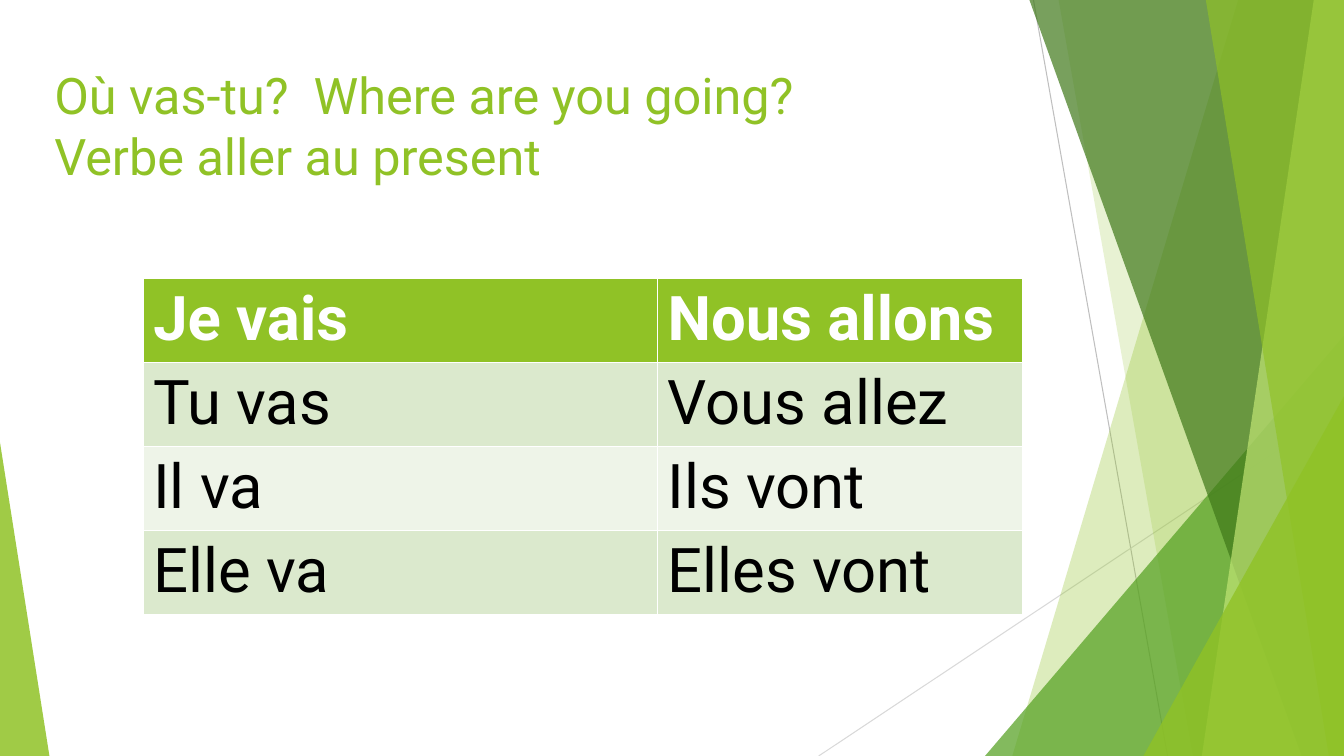
from lxml import etree
from pptx import Presentation
from pptx import util as u
from pptx.dml.color import RGBColor
from pptx.enum import shapes, text
from pptx.oxml import ns

WIDTH, HEIGHT = 13.33, 7.5
FONT = "Roboto"
GREEN = "90C226"

# Shards reach the right edge: top x, bottom x, colour, opacity in percent
BACK_SHARDS = [(12.28, 10.04, GREEN, 30), (10.5, 11.83, GREEN, 20)]
FRONT_SHARDS = [
    (10.21, 12.91, "3F7819", 70),
    (13.03, 11.92, "C0E474", 70),
    (11.96, 13.18, GREEN, 65),
]
VERBS = [
    ("Je vais", "Nous allons"),
    ("Tu vas", "Vous allez"),
    ("Il va", "Ils vont"),
    ("Elle va", "Elles vont"),
]


def paint(fill, color, opacity=100):
    fill.solid()
    fill.fore_color.rgb = RGBColor.from_string(color)
    if opacity < 100:
        clr = fill._xPr.find(".//" + ns.qn("a:srgbClr"))
        etree.SubElement(clr, ns.qn("a:alpha"), val=str(opacity * 1000))


def style_font(font, color, **values):
    font.color.rgb = RGBColor.from_string(color)
    for name, value in {"name": FONT, **values}.items():
        setattr(font, name, value)


def finish(sp, color, opacity):
    sp.shadow.inherit = False
    sp.line.fill.background()
    paint(sp.fill, color, opacity)


def add_hairline(s, start, end, color):
    line = s.shapes.add_connector(
        shapes.MSO_CONNECTOR.STRAIGHT, *[u.Inches(v) for v in (*start, *end)])
    line.line.width = u.Pt(0.75)
    paint(line.line.fill, color)
    etree.SubElement(line._element.spPr, ns.qn("a:effectLst"))


def add_shard(s, top_x, bottom_x, color, opacity):
    builder = s.shapes.build_freeform(u.Inches(top_x), 0, scale=1)
    corners = [(WIDTH, 0), (WIDTH, HEIGHT), (bottom_x, HEIGHT)]
    builder.add_line_segments([(u.Inches(x), u.Inches(y)) for x, y in corners])
    finish(builder.convert_to_shape(), color, opacity)


def add_corner(s, left, width, height, apex, color, opacity):
    """Right-angled triangle on the bottom edge; apex 0 is left, 1 is right."""
    box = (left, HEIGHT - height, width, height)
    sp = s.shapes.add_shape(
        shapes.MSO_SHAPE.ISOSCELES_TRIANGLE, *[u.Inches(v) for v in box])
    sp.adjustments[0] = apex
    finish(sp, color, opacity)


def add_backdrop(s):
    add_hairline(s, (10.25, 0), (11.58, HEIGHT), "BFBFBF")
    add_hairline(s, (WIDTH, 4.03), (8.12, HEIGHT), "D9D9D9")
    for shard in BACK_SHARDS:
        add_shard(s, *shard)
    add_corner(s, WIDTH - 3.56, 3.56, 4.17, 1, "54A021", 72)
    for shard in FRONT_SHARDS:
        add_shard(s, *shard)
    add_corner(s, WIDTH - 1.99, 1.99, 3.57, 1, GREEN, 80)
    add_corner(s, 0, 0.49, 3.11, 0, GREEN, 85)


def add_title(s, box, words):
    tf = s.shapes.add_textbox(*[u.Inches(v) for v in box]).text_frame
    tf.word_wrap = True
    tf.vertical_anchor = text.MSO_ANCHOR.TOP
    p = tf.paragraphs[0]
    p.text = words
    for r in p.runs:
        style_font(r.font, GREEN, size=u.Pt(36))


def add_verb_table(s, box, shares, rows):
    left, top, width, height = [u.Inches(v) for v in box]
    table = s.shapes.add_table(
        len(rows), len(shares), left, top, width, height).table
    for column, share in zip(table.columns, shares):
        column.width = int(width * share)
    for i, row in enumerate(rows):
        header = i == 0
        fill = GREEN if header else ("EEF4E8", "DBE9CD")[i % 2]
        for j, words in enumerate(row):
            cell = table.cell(i, j)
            paint(cell.fill, fill)
            p = cell.text_frame.paragraphs[0]
            p.text = words
            style_font(p.runs[0].font, "FFFFFF" if header else "000000",
                       size=u.Pt(44), bold=header)


def main():
    prs = Presentation()
    prs.slide_width, prs.slide_height = u.Inches(WIDTH), u.Inches(HEIGHT)
    s = prs.slides.add_slide(prs.slide_layouts[6])
    add_backdrop(s)
    add_title(s, (0.44, 0.59, 9.4, 1.44),
              "Où vas-tu?  Where are you going?\vVerbe aller au present")
    add_verb_table(s, (1.42, 2.76, 8.72, 3.26), (0.585, 0.415), VERBS)
    prs.save("out.pptx")


if __name__ == "__main__":
    main()
